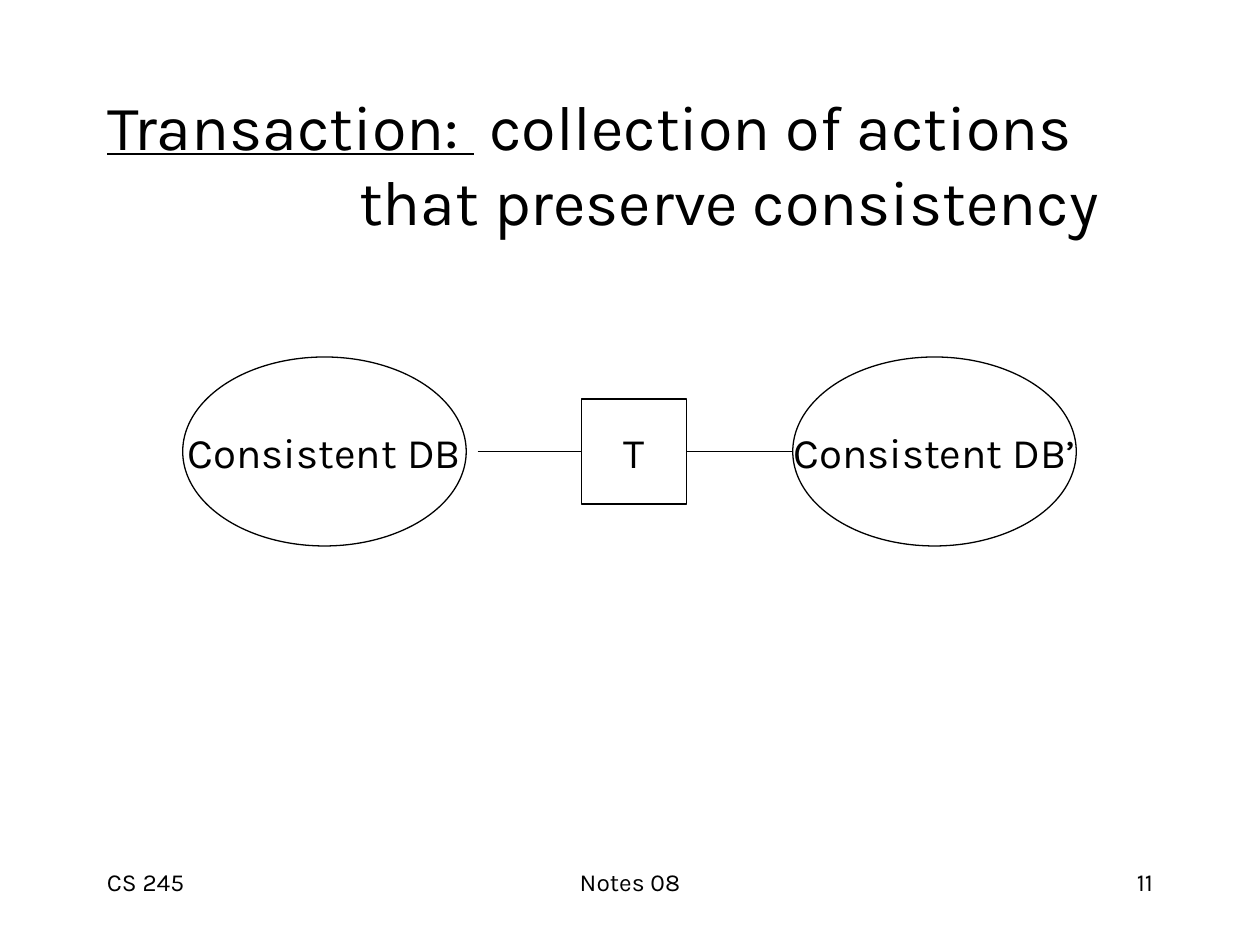
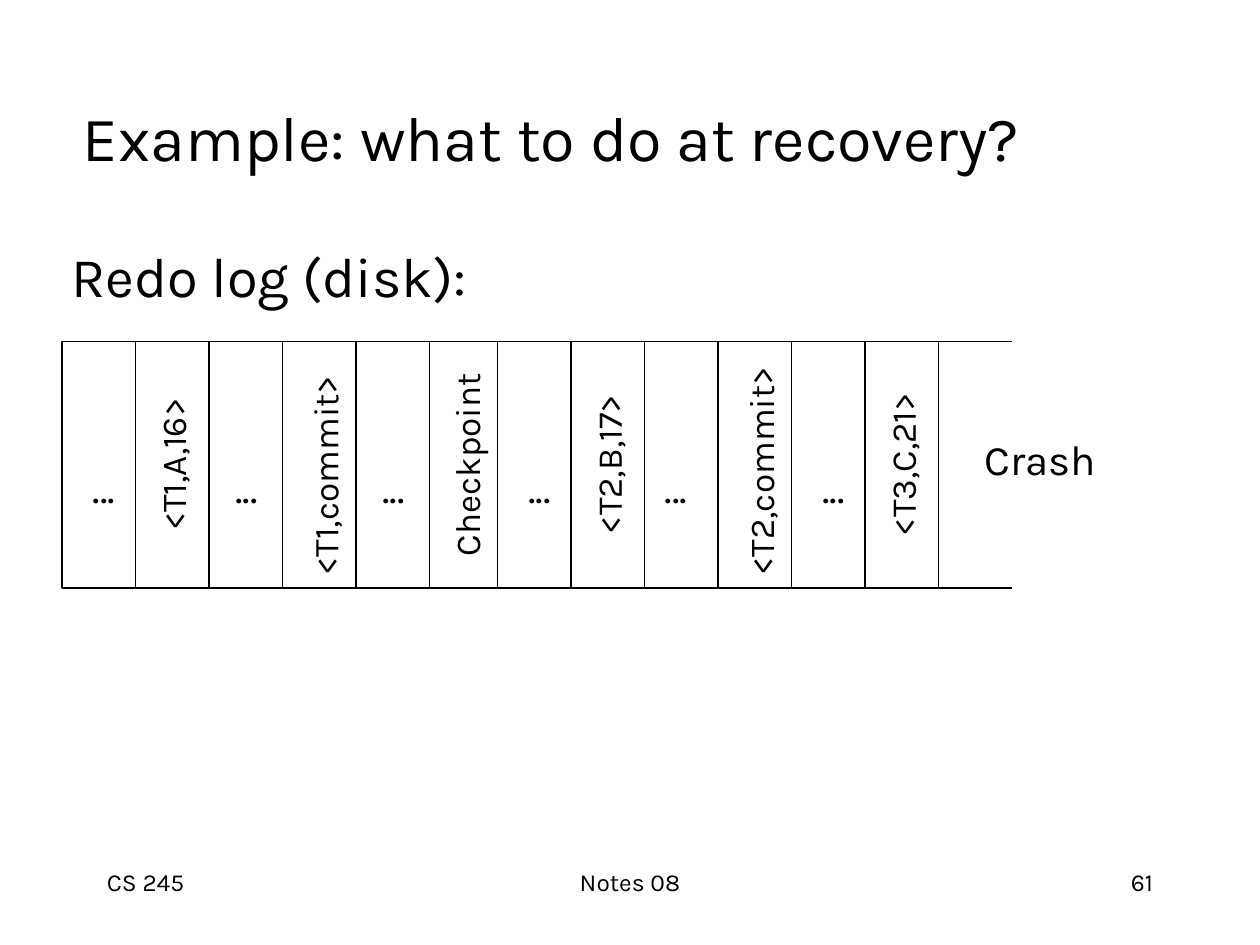
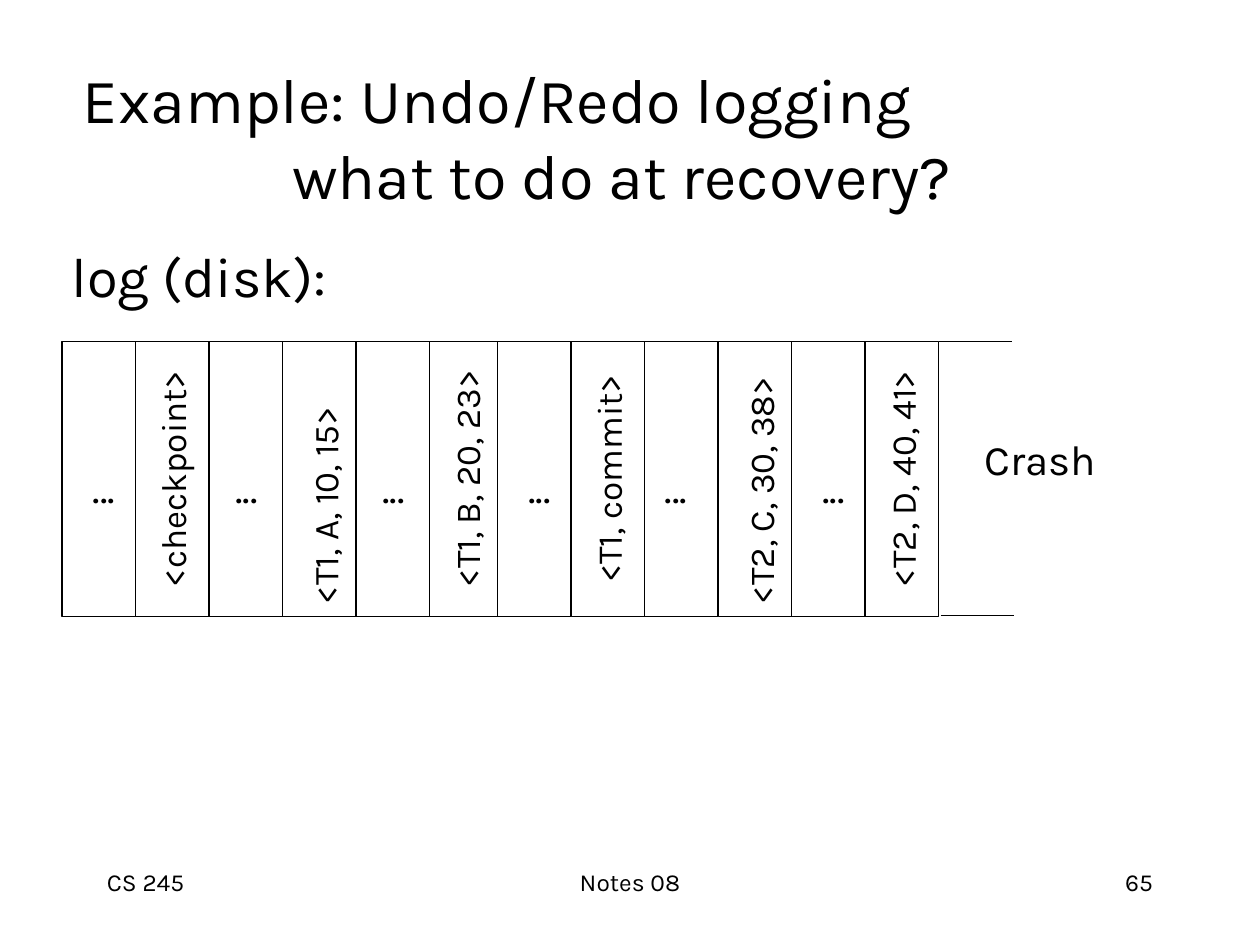
"""Build three lecture slides on transactions and log recovery."""
from lxml import etree
from pptx import Presentation
from pptx import util as u
from pptx.dml.color import RGBColor
from pptx.enum import shapes, text
from pptx.oxml.ns import qn

COLORS = {"ink": "000000", "paper": "FFFFFF"}
FONT = "Karla"
COLUMNS, ROWS = 120, 90
UNIT = u.Inches(10) / COLUMNS
CELL_WIDTH = 7
GROUP_LEFTS = (5.9, 47.4)
CELLS_PER_GROUP = 6
LOG_TOP = 32.5
LOG_RIGHT = GROUP_LEFTS[-1] + CELLS_PER_GROUP * CELL_WIDTH
DOT_LEFTS = (6.9, 20.5, 34.5, 48.4, 61.4, 76.4)
LEFT, CENTER, RIGHT = text.PP_ALIGN.LEFT, text.PP_ALIGN.CENTER, text.PP_ALIGN.RIGHT
TOP, MIDDLE = text.MSO_ANCHOR.TOP, text.MSO_ANCHOR.MIDDLE


def grid(*lengths):
    """Turn grid columns or rows into slide lengths."""
    return [u.Emu(round(length * UNIT)) for length in lengths]


def color(name):
    """Return a named colour."""
    return RGBColor.from_string(COLORS[name])


def apply(target, values):
    """Set each attribute listed in a dict of format values."""
    for name, value in values.items():
        setattr(target, name, value)


def write(shape, runs, size, align=LEFT, anchor=MIDDLE, wrap=True, hanging=0, top_inset=0.05):
    """Fill a shape with one paragraph of (words, underlined) runs or line breaks."""
    frame = shape.text_frame
    apply(frame, {
        "auto_size": text.MSO_AUTO_SIZE.NONE, "word_wrap": wrap, "vertical_anchor": anchor,
        "margin_left": u.Inches(0.1), "margin_right": u.Inches(0.1),
        "margin_top": u.Inches(top_inset), "margin_bottom": u.Inches(0.05),
    })
    paragraph = frame.paragraphs[0]
    paragraph.alignment = align
    if hanging:
        margin = u.Inches(hanging)
        properties = paragraph._p.get_or_add_pPr()
        properties.set("marL", str(margin))
        properties.set("indent", str(-margin))
    for words, underlined in runs:
        if words == "\n":
            paragraph.add_line_break()
            continue
        run = paragraph.add_run()
        run.text = words
        apply(run.font, {"name": FONT, "size": u.Pt(size), "underline": underlined})
        run.font.color.rgb = color("ink")


def add_label(slide, words, place, size, **style):
    """Add a text box at a grid place."""
    box = slide.shapes.add_textbox(*grid(*place))
    write(box, [(words, False)], size, **style)


def add_outlined(slide, kind, place):
    """Add a white shape with a thin black outline."""
    shape = slide.shapes.add_shape(kind, *grid(*place))
    shape.shadow.inherit = False
    shape.fill.solid()
    shape.fill.fore_color.rgb = color("paper")
    shape.line.color.rgb = color("ink")
    shape.line.width = u.Pt(0.75)
    return shape


def add_line(slide, start, end):
    """Add a thin straight line between two grid points."""
    line = slide.shapes.add_connector(shapes.MSO_CONNECTOR.STRAIGHT, *grid(*start, *end))
    line.line.color.rgb = color("ink")
    line.line.width = u.Pt(0.75)
    etree.SubElement(line._element.spPr, qn("a:effectLst"))
    return line


def add_slide(presentation, number, title_runs, title_place, hanging=0):
    """Add a slide with its title and the shared footer."""
    slide = presentation.slides.add_slide(presentation.slide_layouts[5])
    title = slide.shapes.title
    apply(title, dict(zip(("left", "top", "width", "height"), grid(*title_place))))
    write(title, title_runs, 36, hanging=hanging)
    footers = (("CS 245", 9, 25, LEFT), ("Notes 08", 41, 38, CENTER), (str(number), 86, 25, RIGHT))
    for words, left, width, align in footers:
        add_label(slide, words, (left, 82, width, 6), 14, align=align, anchor=TOP)
    return slide


def add_cell(slide, left, height, record, starts_low):
    """Add one log cell, a rectangle turned so that its record reads upwards."""
    place = (left + (CELL_WIDTH - height) / 2, LOG_TOP + (height - CELL_WIDTH) / 2, height, CELL_WIDTH)
    cell = add_outlined(slide, shapes.MSO_SHAPE.RECTANGLE, place)
    cell.rotation = 270
    if record:
        style = {"top_inset": 0.13} if starts_low else {"align": CENTER}
        write(cell, [(record, False)], 20, **style)


def add_log(slide, heading, records, height, lower_end):
    """Draw a log whose even cells hold records and whose end is cut off by a crash."""
    add_label(slide, heading, (5.64, 22.44, 102, 8), 32, anchor=TOP)
    for index in range(len(GROUP_LEFTS) * CELLS_PER_GROUP):
        group, column = divmod(index, CELLS_PER_GROUP)
        record = records[index // 2] if index % 2 else ""
        add_cell(slide, GROUP_LEFTS[group] + column * CELL_WIDTH, height, record, column == 3)
    for left, row in ((LOG_RIGHT, LOG_TOP), lower_end):
        add_line(slide, (left, row), (left + CELL_WIDTH, row))
    add_label(slide, "Crash", (92.5, 40.7, 13.2, 6), 24, align=CENTER, wrap=False)
    for left in DOT_LEFTS:
        add_label(slide, "...", (left, 43.4, 6, 6), 24, align=CENTER)


def add_transaction(slide):
    """Draw a transaction between two consistent database states."""
    for words, left in (("Consistent DB", 17.4), ("Consistent DB’", 75.5)):
        state = add_outlined(slide, shapes.MSO_SHAPE.OVAL, (left, 34, 27, 18))
        write(state, [(words, False)], 24, align=CENTER, wrap=False)
    transaction = add_outlined(slide, shapes.MSO_SHAPE.RECTANGLE, (55.4, 38, 10, 10))
    write(transaction, [("T", False)], 24, align=CENTER, wrap=False)
    add_line(slide, (45.5, 43), (55.4, 43)).end_connect(transaction, 1)
    add_line(slide, (65.4, 43), (75.5, 43)).begin_connect(transaction, 3)


def main():
    """Build and save the presentation."""
    presentation = Presentation()
    presentation.slide_width, presentation.slide_height = grid(COLUMNS, ROWS)

    title = [("Transaction: ", True), (" collection of actions", False), ("\n", False),
             ("that preserve consistency", False)]
    add_transaction(add_slide(presentation, 11, title, (9, 8, 102, 15), hanging=2))

    log_title_place = (6.7, 5.5, 102, 15)
    title = [("Example: what to do at recovery?", False)]
    slide = add_slide(presentation, 61, title, log_title_place)
    records = ("<T1,A,16>", "<T1,commit>", "Checkpoint", "<T2,B,17>", "<T2,commit>", "<T3,C,21>")
    add_log(slide, "Redo log (disk):", records, 23.5, (LOG_RIGHT, 56))

    title = [("Example: Undo/Redo logging", False), ("\n", False), ("what to do at recovery?", False)]
    slide = add_slide(presentation, 65, title, log_title_place, hanging=1.66)
    records = ("<checkpoint>", "<T1, A, 10, 15>", "<T1, B, 20, 23>",
               "<T1, commit>", "<T2, C, 30, 38>", "<T2, D, 40, 41>")
    add_log(slide, "log (disk):", records, 26.2, (89.6, 58.6))

    presentation.save("out.pptx")


if __name__ == "__main__":
    main()
